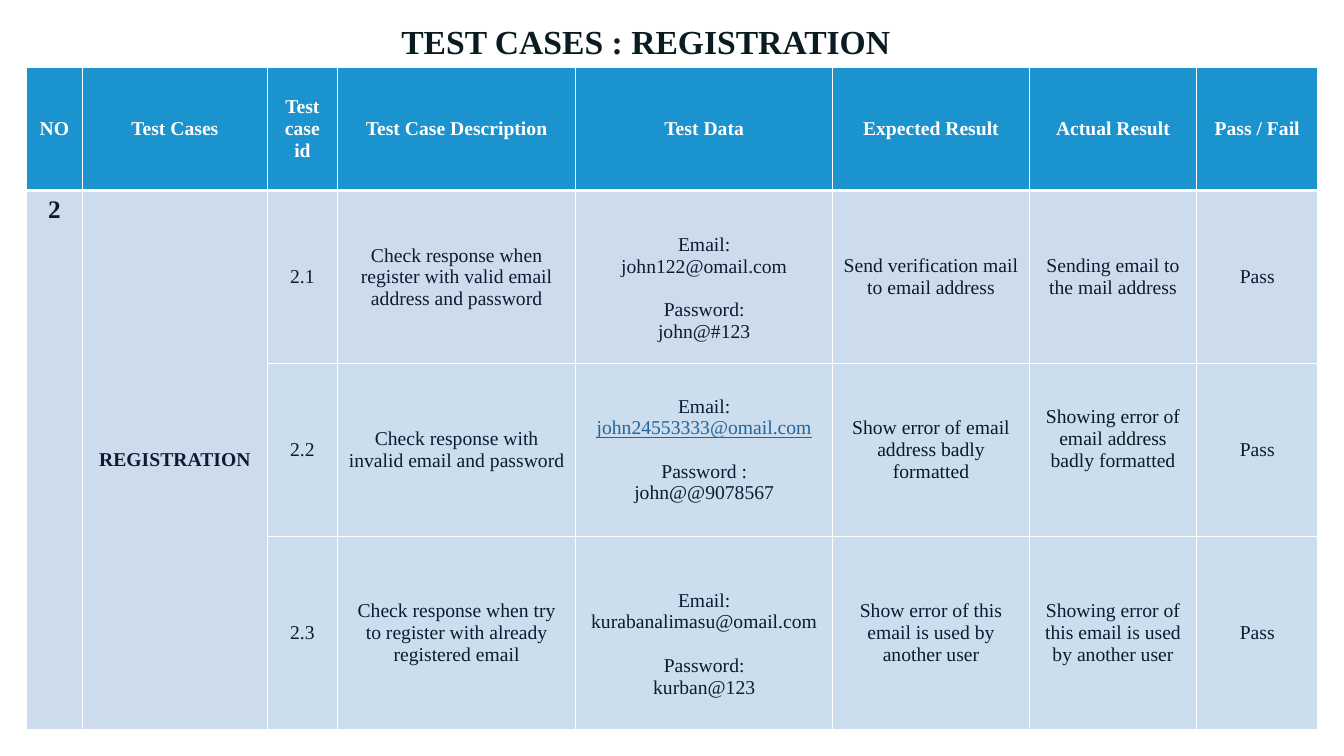
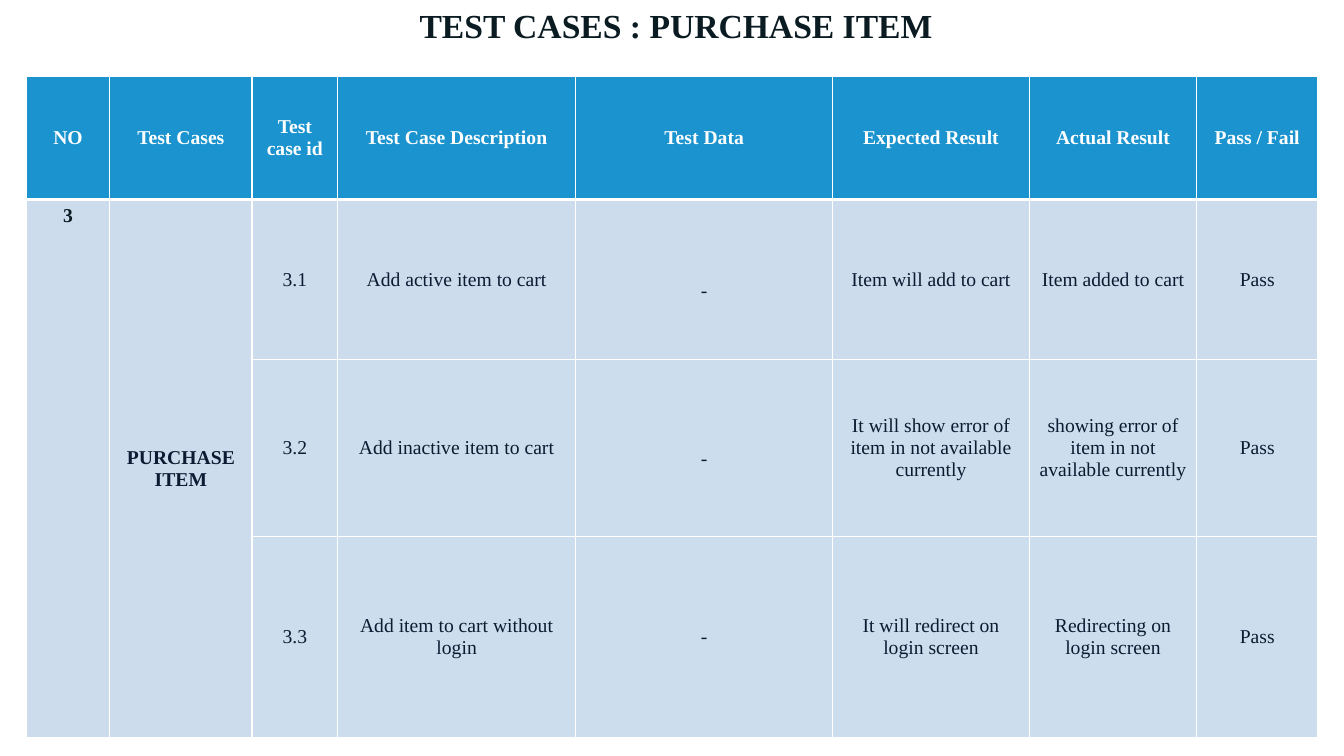
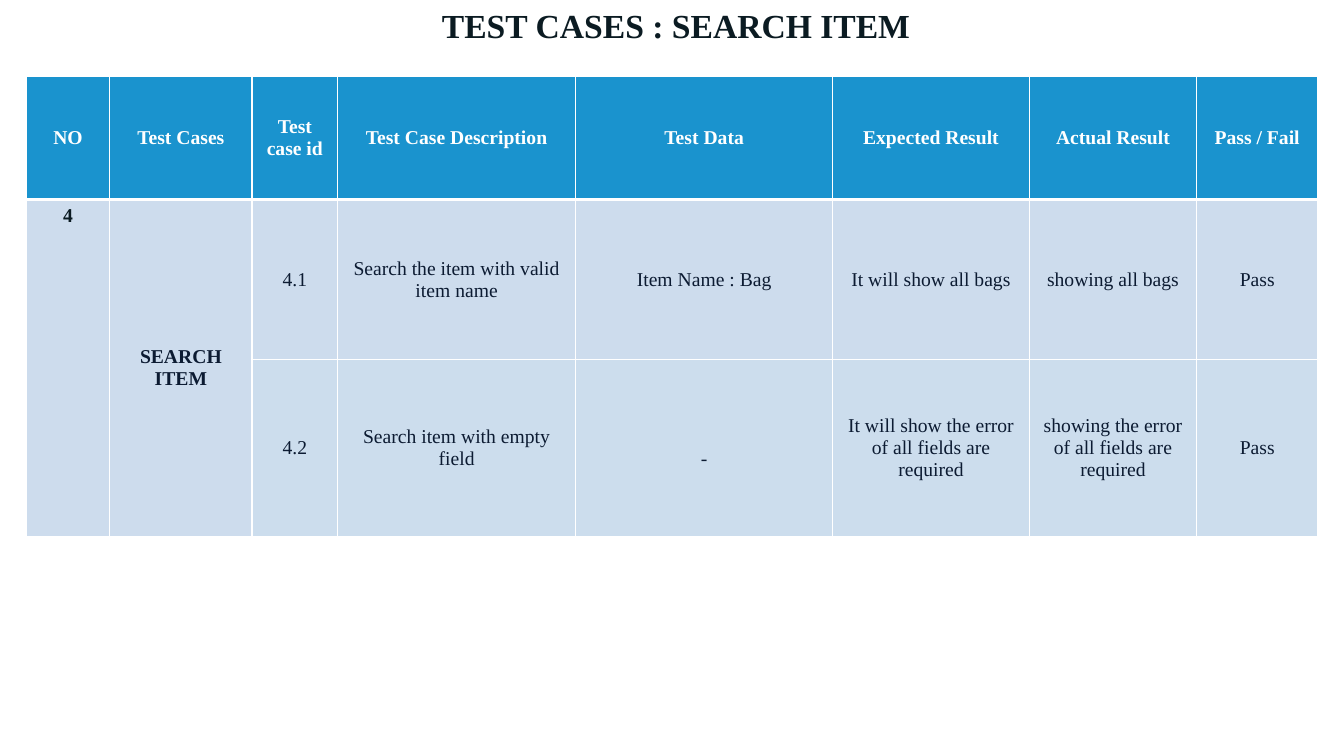
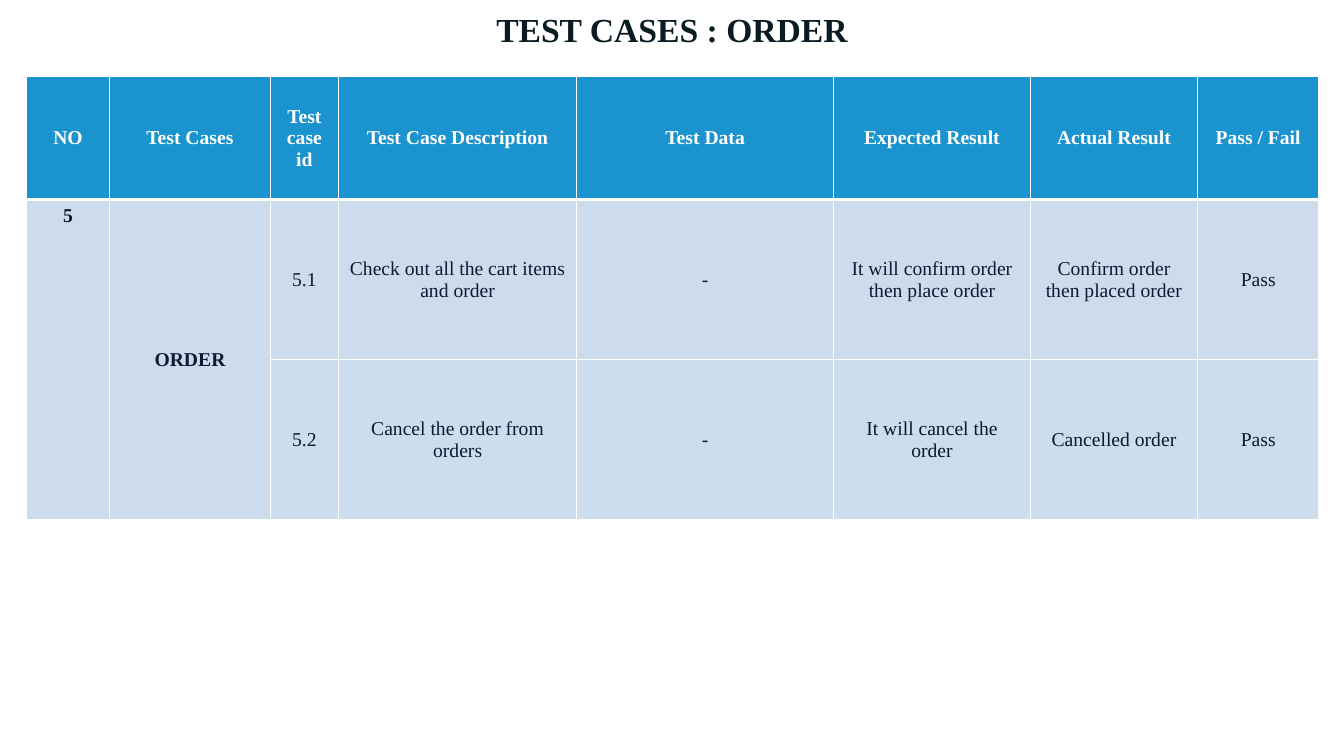
"""Build four test case slides, each a title over one table."""
from dataclasses import dataclass

from lxml import etree
from pptx import Presentation
from pptx.dml.color import RGBColor
from pptx.enum.text import MSO_ANCHOR as Anchor, MSO_AUTO_SIZE as AutoSize, PP_ALIGN as Align
from pptx.oxml.ns import qn
from pptx.util import Inches, Pt

FONT = "Times New Roman"
WHITE, BLUE, INK, NAVY, LINK = "FFFFFF", "1A93CE", "0B1B22", "0C1B32", "256499"
FIRST_FILL, ROW_FILL = "CDDCED", "CCDDED"
BLANK_LINE = 0.22
GROUP_GAP = 15.5
TABLE_LEFT = 0.26
HEAD_HEIGHT = 1.22
SHARED_COLS = [2.36, 2.55, 1.95, 1.66, 1.2]
HEADERS = ["NO", "Test Cases", "Test case id", "Test Case Description", "Test Data",
           "Expected Result", "Actual Result", "Pass / Fail"]


@dataclass
class Cell:
    """Groups of lines, with a gap between groups and room above or below."""
    groups: list
    color: str = NAVY
    above: float = 0
    below: float = 0
    link: str = ""


def login(email, password, label="Password:", **options):
    """Return a cell with an email and a password."""
    return Cell([["Email:", email], [label, password]], **options)


LOW_DASH = Cell([["-"]], above=BLANK_LINE)

SLIDES = [
    dict(title="REGISTRATION", title_at=(-0.23, 0.16), top=0.67, no="2", no_size=18,
         name=["REGISTRATION"], cols=[0.56, 1.83, 0.7], heights=[1.72, 1.71, 1.92], cases=[
             ["Check response when register with valid email address and password",
              login("john122@omail.com", "john@#123", above=BLANK_LINE),
              "Send verification mail to email address",
              "Sending email to the mail address"],
             ["Check response with invalid email and password",
              login("john24553333@omail.com", "john@@9078567", "Password :",
                    link="john24553333@omail.com"),
              Cell([["Show error of email address badly formatted"]], INK),
              Cell([["Showing error of email address badly formatted"]], INK, below=BLANK_LINE)],
             ["Check response when try to register with already registered email",
              login("kurabanalimasu@omail.com", "kurban@123", above=BLANK_LINE),
              "Show error of this email is used by another user",
              "Showing error of this email is used by another user"]]),
    dict(title="PURCHASE ITEM", title_at=(0.07, 0), top=0.76, no="3", no_size=14,
         name=["PURCHASE", "ITEM"], cols=[0.83, 1.41, 0.85], heights=[1.59, 1.75, 2], cases=[
             ["Add active item to cart", LOW_DASH,
              "Item will add to cart", "Item added to cart"],
             ["Add inactive item to cart", LOW_DASH,
              "It will show error of item in not available currently",
              "showing error of item in not available currently"],
             ["Add item to cart without login", "-",
              "It will redirect on login screen", "Redirecting on login screen"]]),
    dict(title="SEARCH ITEM", title_at=(0.07, 0), top=0.76, no="4", no_size=14,
         name=["SEARCH ITEM"], cols=[0.83, 1.41, 0.85], heights=[1.59, 1.75], cases=[
             ["Search the item with valid item name", "Item Name : Bag",
              "It will show all bags", "showing all bags"],
             ["Search item with empty field", LOW_DASH,
              "It will show the error of all fields are required",
              "showing the error of all fields are required"]]),
    dict(title="ORDER", title_at=(0.03, 0.04), top=0.76, no="5", no_size=14,
         name=["ORDER"], cols=[0.83, 1.59, 0.68], heights=[1.59, 1.59], cases=[
             ["Check out all the cart items and order", "-",
              "It will confirm order then place order", "Confirm order then placed order"],
             ["Cancel the order from orders", "-",
              Cell([["It will cancel the order"]], INK), Cell([["Cancelled order"]], INK)]]),
]


def rgb(color):
    return RGBColor.from_string(color)


def add_run(p, text, size, color, bold=False, underline=False):
    p.alignment = Align.CENTER
    r = p.add_run()
    r.text = text
    font = r.font
    font.name, font.size, font.bold = FONT, Pt(size), bold
    font.color.rgb = rgb(color)
    if underline:
        font.underline = True


def style_cell(cell, fill, top=1, bottom=1):
    tcPr = cell._tc.get_or_add_tcPr()
    for side, width in zip("LRTB", (1, 1, top, bottom)):
        ln = etree.SubElement(tcPr, qn(f"a:ln{side}"), w=str(Pt(width)))
        solid = etree.SubElement(ln, qn("a:solidFill"))
        etree.SubElement(solid, qn("a:srgbClr"), val=WHITE)
    cell.fill.solid()
    cell.fill.fore_color.rgb = rgb(fill)


def write_cell(cell, content, size=14, bold=False, anchor=Anchor.MIDDLE):
    if isinstance(content, str):
        content = Cell([[content]])
    cell.vertical_anchor = anchor
    cell.margin_top = Inches(0.05 + content.above)
    cell.margin_bottom = Inches(0.05 + content.below)
    tf = cell.text_frame
    p = tf.paragraphs[0]
    for g, group in enumerate(content.groups):
        for i, line in enumerate(group):
            if g or i:
                p = tf.add_paragraph()
            if g and i == 0:
                p.space_before = Pt(GROUP_GAP)
            add_run(p, line, size, content.color, bold)
            if line == content.link:
                p.runs[0].font.underline = True
                p.runs[0].font.color.rgb = rgb(LINK)


def add_title(s, name, at):
    sp = s.shapes.title
    sp.left, sp.top, sp.width, sp.height = map(Inches, (*at, 13.27, 0.5))
    tf = sp.text_frame
    tf.auto_size = AutoSize.NONE
    tf.vertical_anchor = Anchor.MIDDLE
    add_run(tf.paragraphs[0], f"TEST CASES : {name}", 24, INK, bold=True)


def add_cases(s, data):
    cols = data["cols"] + SHARED_COLS
    heights = [HEAD_HEIGHT] + data["heights"]
    box = map(Inches, (TABLE_LEFT, data["top"], sum(cols), sum(heights)))
    table = s.shapes.add_table(len(heights), len(cols), *box).table
    table.horz_banding = False
    for col, width in zip(table.columns, cols):
        col.width = Inches(width)
    for i, (row, height) in enumerate(zip(table.rows, heights)):
        row.height = Inches(height)
        for cell in row.cells:
            style_cell(cell, (BLUE, FIRST_FILL, ROW_FILL)[min(i, 2)],
                       top=3 if i == 1 else 1, bottom=3 if i == 0 else 1)
    for c, header in enumerate(HEADERS):
        write_cell(table.cell(0, c), Cell([[header]], WHITE), bold=True)
    for c in (0, 1):
        table.cell(1, c).merge(table.cell(len(heights) - 1, c))
    write_cell(table.cell(1, 0), Cell([[data["no"]]], INK), data["no_size"], True, Anchor.TOP)
    write_cell(table.cell(1, 1), Cell([data["name"]]), bold=True)
    for i, case in enumerate(data["cases"], 1):
        for c, content in enumerate([f"{data['no']}.{i}", *case, "Pass"], 2):
            write_cell(table.cell(i, c), content)


def main():
    prs = Presentation()
    prs.slide_width, prs.slide_height = Inches(13.33), Inches(7.5)
    for data in SLIDES:
        s = prs.slides.add_slide(prs.slide_layouts[5])
        add_title(s, data["title"], data["title_at"])
        add_cases(s, data)
    prs.save("out.pptx")


if __name__ == "__main__":
    main()
